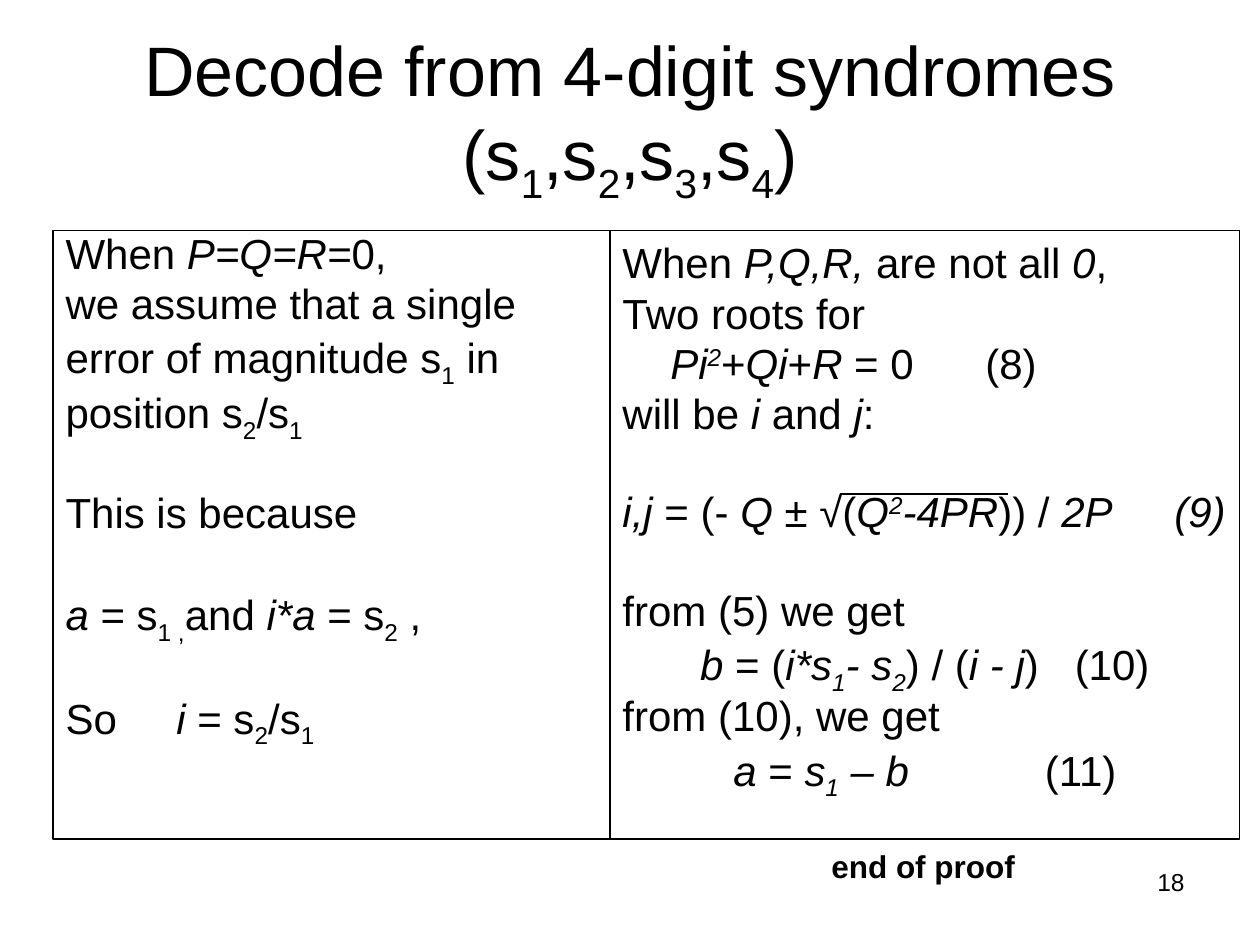
from lxml.etree import SubElement
from pptx import Presentation
from pptx.dml.color import RGBColor
from pptx.enum.shapes import MSO_CONNECTOR
from pptx.enum.text import MSO_ANCHOR, MSO_AUTO_SIZE, PP_ALIGN
from pptx.oxml.ns import qn
from pptx.util import Inches, Pt

BLACK = RGBColor(0x00, 0x00, 0x00)
FONT = "Arial"
BASELINE = {"_": "-25000", "^": "30000"}
HANG = Inches(0.38)
TIGHT, GAP = 5.5, 33  # space before a line, and before a new step

# A line is (runs, format); a run is plain text or (text, marks):
# i = italic, _ = subscript, ^ = superscript
TITLE = ["Decode from 4-digit syndromes (s", ("1", "_"), ",s", ("2", "_"),
         ",s", ("3", "_"), ",s", ("4", "_"), ")"]
SINGLE_ERROR = [
    (["When ", ("P=Q=R=", "i"), "0,"], {}),
    (["we assume that a single"], {}),
    (["error of magnitude s", ("1", "_"), " in"], {}),
    (["position s", ("2", "_"), "/s", ("1", "_")], {}),
    (["This is because"], {"space_before": Pt(GAP)}),
    ([("a ", "i"), "= s", ("1 ,", "_"), "and ", ("i*a ", "i"), "= s",
      ("2", "_"), " ,"], {"space_before": Pt(GAP)}),
    (["So \t", ("i", "i"), " = s", ("2", "_"), "/s", ("1", "_")],
     {"space_before": Pt(GAP)}),
]
TWO_ERRORS = [
    (["When ", ("P,Q,R, ", "i"), "are not all", (" 0", "i"), ","],
     {"line_spacing": 1.0, "space_before": Pt(0)}),
    (["Two roots for"], {}),
    ([("\tPi", "i"), ("2", "i^"), "+", ("Qi", "i"), "+", ("R", "i"),
      " = 0 \t(8)"], {}),
    (["will be ", ("i", "i"), " and ", ("j", "i"), ":"], {}),
    ([("i,j", "i"), " = (- ", ("Q ", "i"), "± √(", ("Q", "i"), ("2", "i^"),
      ("-4PR", "i"), ")) / ", ("2P\t(9)", "i")],
     {"space_before": Pt(GAP), "tab": Inches(3.78)}),
    (["from (5) we get"], {"line_spacing": 1.0, "space_before": Pt(28)}),
    ([("b", "i"), " = (", ("i*s", "i"), ("1", "i_"), ("- s", "i"),
      ("2", "i_"), ") / (", ("i - j", "i"), ") \t (10)"],
     {"alignment": PP_ALIGN.CENTER}),
    (["from (10), we get"], {}),
    ([("a", "i"), " = ", ("s", "i"), ("1", "i_"), (" – b", "i"),
      " \t\t (11)"], {"alignment": PP_ALIGN.CENTER}),
]


def place(sp, box):
    for name, value in zip(("left", "top", "width", "height"), box):
        setattr(sp, name, Inches(value))


def add_runs(p, runs, size, bold=False):
    for item in runs:
        text, marks = (item, "") if isinstance(item, str) else item
        r = p.add_run()
        r.text = text
        fmt = {"name": FONT, "size": Pt(size), "bold": bold,
               "italic": "i" in marks}
        for name, value in fmt.items():
            setattr(r.font, name, value)
        r.font.color.rgb = BLACK
        for mark in marks.replace("i", ""):
            r.font._element.set("baseline", BASELINE[mark])


def format_line(p, fmt):
    """Hanging indent without a bullet, and an optional tab stop."""
    fmt = {"line_spacing": 0.8, "space_before": Pt(TIGHT),
           "alignment": PP_ALIGN.LEFT, **fmt}
    tab = fmt.pop("tab", None)
    for name, value in fmt.items():
        setattr(p, name, value)
    pPr = p._p.get_or_add_pPr()
    pPr.set("marL", str(HANG))
    pPr.set("indent", str(-HANG))
    SubElement(pPr, qn("a:buNone"))
    if tab:
        tabs = SubElement(pPr, qn("a:tabLst"))
        SubElement(tabs, qn("a:tab"), pos=str(tab), algn="l")


def fill_title(sp, box):
    place(sp, box)
    tf = sp.text_frame
    tf.auto_size = MSO_AUTO_SIZE.NONE
    tf.vertical_anchor = MSO_ANCHOR.MIDDLE
    p = tf.paragraphs[0]
    p.alignment = PP_ALIGN.CENTER
    add_runs(p, TITLE, 40)


def fill_case(sp, box, lines):
    """One framed column of the case distinction."""
    place(sp, box)
    sp.line.color.rgb = BLACK
    sp.line.width = Pt(0.75)
    tf = sp.text_frame
    tf.auto_size = MSO_AUTO_SIZE.NONE
    for n, (runs, fmt) in enumerate(lines):
        p = tf.add_paragraph() if n else tf.paragraphs[0]
        format_line(p, fmt)
        add_runs(p, runs, 24)


def add_label(s, box, text, size, align, bold=False, wrap=True):
    tf = s.shapes.add_textbox(*map(Inches, box)).text_frame
    tf.word_wrap = wrap
    p = tf.paragraphs[0]
    p.alignment = align
    add_runs(p, [text], size, bold)


def add_root_bar(s, left, right, y):
    bar = s.shapes.add_connector(MSO_CONNECTOR.STRAIGHT, Inches(left),
                                 Inches(y), Inches(right), Inches(y))
    bar.line.color.rgb = BLACK
    bar.line.width = Pt(0.75)
    SubElement(bar._element.spPr, qn("a:effectLst"))


def main():
    prs = Presentation()
    prs.slide_width, prs.slide_height = Inches(10), Inches(7.5)
    s = prs.slides.add_slide(prs.slide_layouts[3])
    title, left, right = s.placeholders

    # Title and the two cases side by side
    fill_title(title, (0.5, 0.3, 9, 1.25))
    x, y, height = 0.42, 1.83, 4.83
    for sp, width, lines in ((left, 4.42, SINGLE_ERROR),
                             (right, 5, TWO_ERRORS)):
        fill_case(sp, (x, y, width, height), lines)
        x += width

    # Bar of the square root, closing words, page number
    add_root_bar(s, 6.67, 8, 3.92)
    add_label(s, (6.5, 6.67, 1.67, 0.4), "end of proof", 18, PP_ALIGN.LEFT,
              bold=True, wrap=False)
    add_label(s, (7.17, 6.83, 2.33, 0.52), "18", 14, PP_ALIGN.RIGHT)
    prs.save("out.pptx")


if __name__ == "__main__":
    main()
